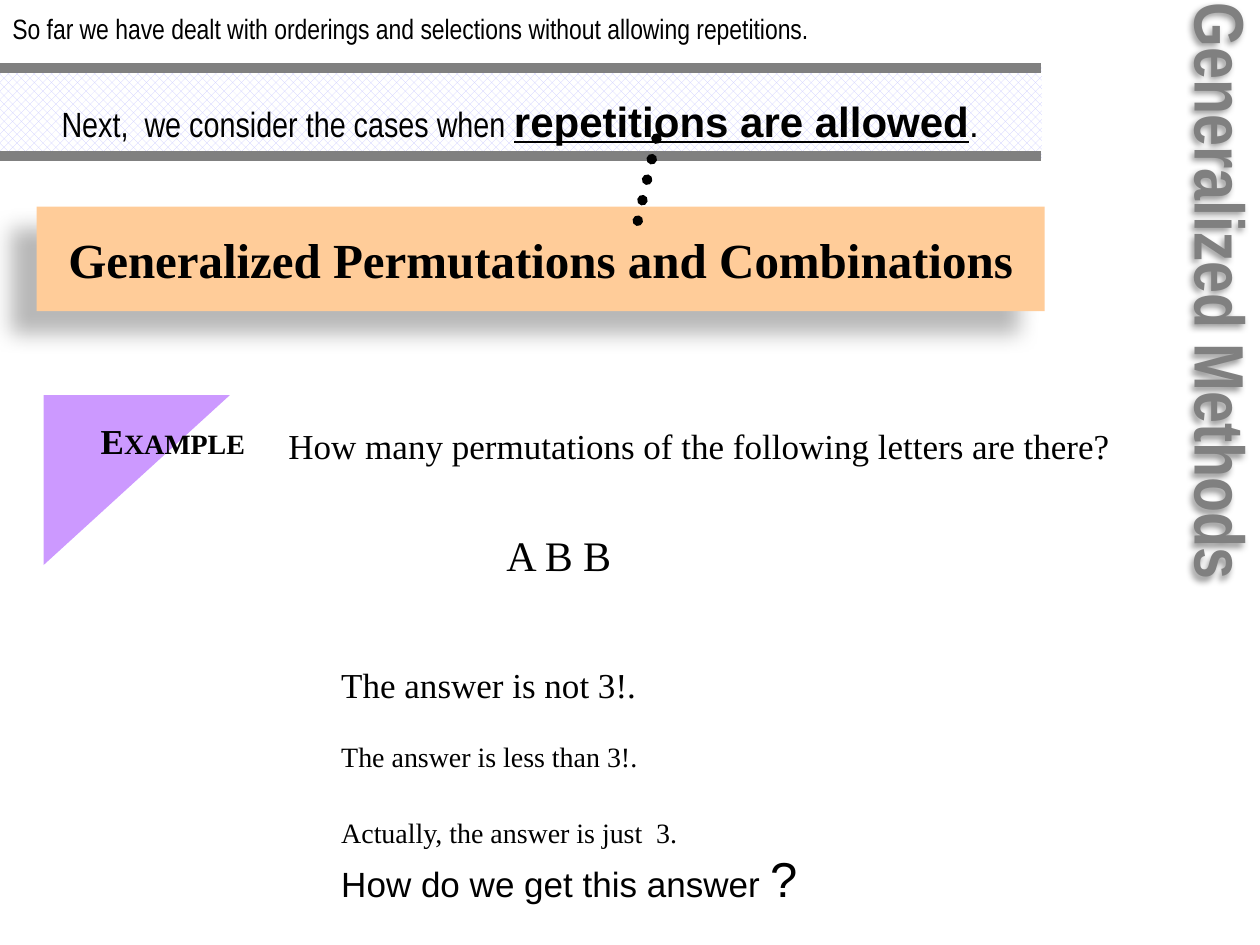
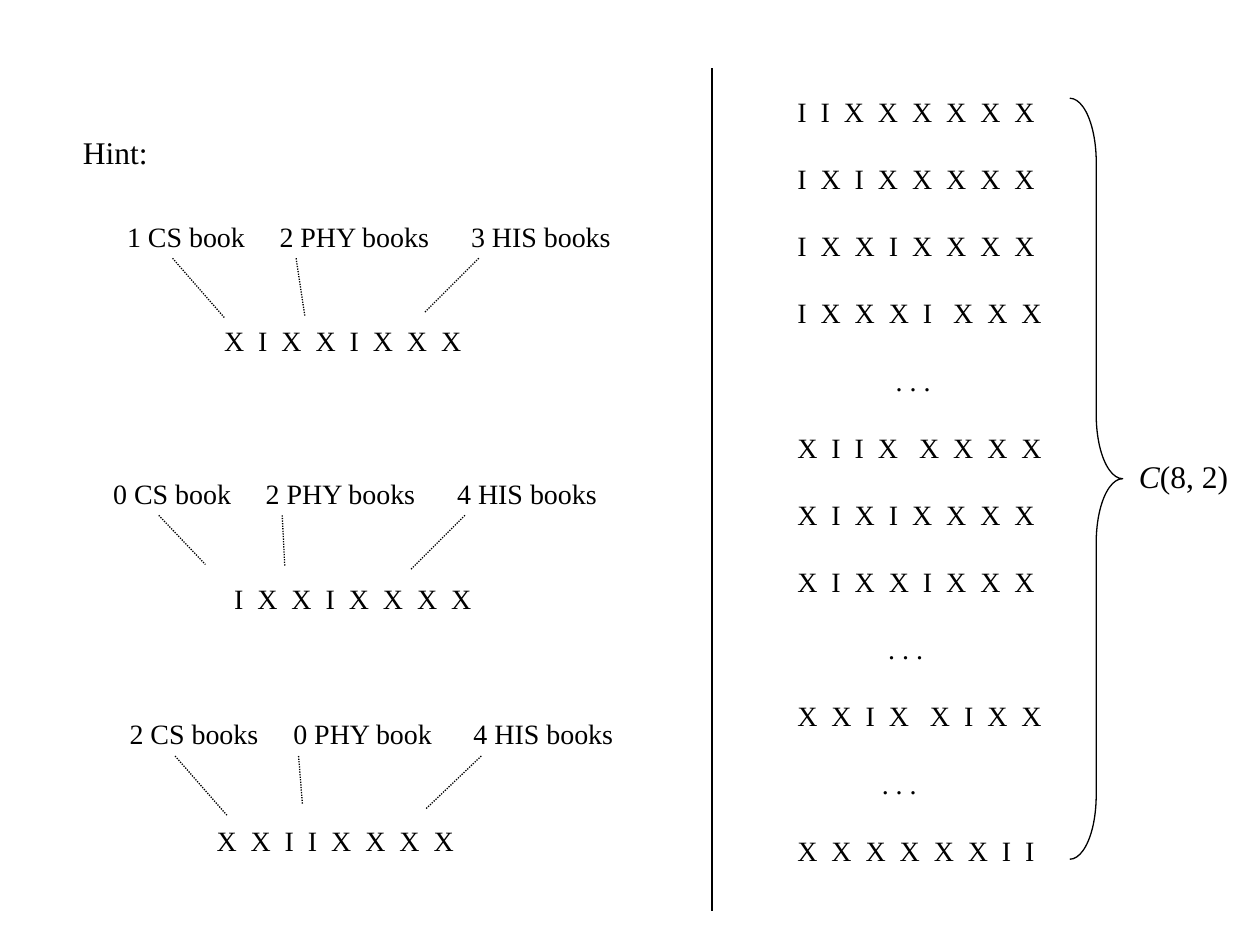
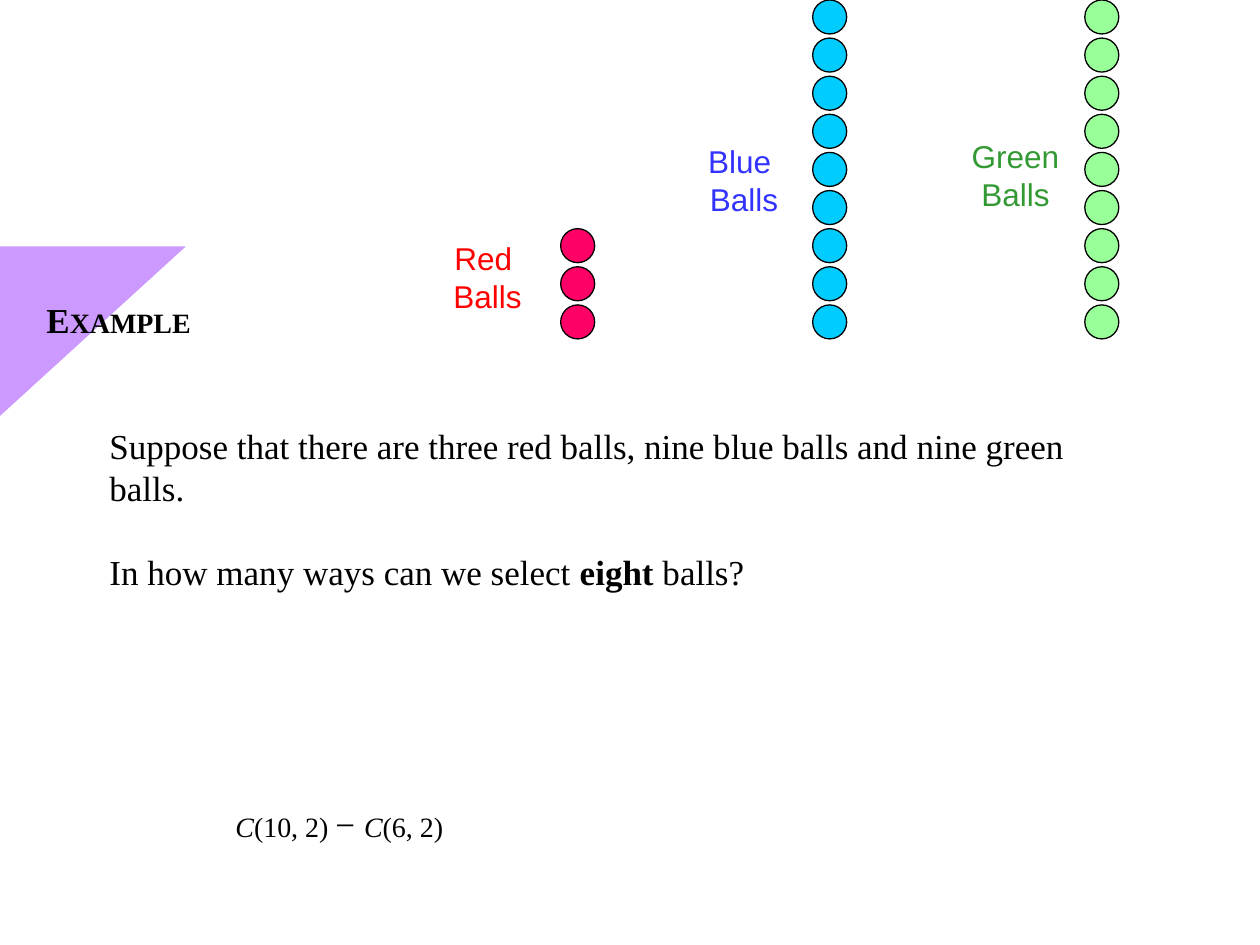
"""Build three lesson slides on generalized permutations and combinations."""
from dataclasses import dataclass

from lxml.etree import SubElement
from pptx import Presentation
from pptx.dml.color import RGBColor
from pptx.enum.dml import MSO_LINE, MSO_PATTERN_TYPE
from pptx.enum.shapes import MSO_CONNECTOR, MSO_SHAPE
from pptx.enum.text import MSO_AUTO_SIZE, PP_ALIGN
from pptx.oxml.ns import qn
from pptx.util import Inches, Pt


@dataclass(frozen=True)
class Theme:
    serif: str = "Times New Roman"
    sans: str = "Arial"
    narrow: str = "Arial Narrow"
    ink: str = "000000"
    paper: str = "FFFFFF"
    grey: str = "808080"
    peach: str = "FFCC99"
    lilac: str = "CC99FF"
    hatch: str = "CCCCFF"
    red: str = "FF0000"
    red_ball: str = "FF0066"
    blue: str = "3333FF"
    blue_ball: str = "00CCFF"
    green: str = "339933"
    green_ball: str = "99FF99"
    small: int = 16
    medium: int = 18
    body: int = 20
    large: int = 24
    title: int = 28
    side: int = 40
    leading: float = 1.2
    hairline: float = 0.75
    bar: float = 6


theme = Theme()


@dataclass
class Para:
    runs: object
    size: float = theme.body
    font: str = theme.serif
    color: str = theme.ink
    bold: bool = False
    indent: float = 0
    before: float = 0
    spread: float = 1
    tallest: float = 0
    centred: bool = False


prs = Presentation()
prs.slide_width, prs.slide_height = Inches(10), Inches(7.5)
COLUMN, ROW = prs.slide_width / 10, prs.slide_height / 7.5


def grid(*cells):
    return [int(cell * (ROW if i % 2 else COLUMN)) for i, cell in enumerate(cells)]


def write(shape, paras):
    frame = shape.text_frame
    frame.word_wrap = True
    frame.auto_size = MSO_AUTO_SIZE.NONE
    frame.margin_right = 0
    if paras[0].centred:
        frame.margin_left = 0
    for i, para in enumerate(paras):
        paragraph = frame.add_paragraph() if i else frame.paragraphs[0]
        paragraph.alignment = PP_ALIGN.CENTER if para.centred else PP_ALIGN.LEFT
        height = max(para.size, para.tallest) * theme.leading * para.spread
        paragraph.line_spacing, paragraph.space_before = Pt(height), Pt(para.before)
        props = paragraph._p.get_or_add_pPr()
        props.set("marL", str(grid(para.indent)[0]))
        props.set("indent", "0")
        font = paragraph.font
        font.name, font.size, font.bold = para.font, Pt(para.size), para.bold
        font.color.rgb = RGBColor.from_string(para.color)
        runs = [(para.runs, {})] if isinstance(para.runs, str) else para.runs
        for text, changes in runs:
            run = paragraph.add_run()
            run.text = text
            for key, value in changes.items():
                setattr(run.font, key, value)


title_only, blank = prs.slide_layouts[5], prs.slide_layouts[6]
intro = prs.slides.add_slide(title_only)
hint = prs.slides.add_slide(blank)
balls = prs.slides.add_slide(blank)

headline = intro.shapes.title
headline.left, headline.top, headline.width, headline.height = grid(0.29, 1.64, 8, 0.83)
headline.fill.solid()
headline.fill.fore_color.rgb = RGBColor.from_string(theme.peach)
write(headline, [Para("Generalized Permutations and Combinations", theme.title,
                      bold=True, centred=True)])

side_title = intro.shapes.add_textbox(*grid(7.24, 2, 4.92, 0.77))
side_title.rotation = 90
write(side_title, [Para("Generalized Methods", theme.side, theme.narrow, theme.grey, True)])

for shape, blur, distance, alpha in [(headline, 11.8, 19.7, 28), (side_title, 4, 2.5, 40)]:
    shape.shadow.inherit = False
    effects = shape._element.spPr.find(qn("a:effectLst"))
    shadow = SubElement(effects, qn("a:outerShdw"), blurRad=str(Pt(blur)),
                        dist=str(Pt(distance)), dir=str(141 * 60000), algn="ctr",
                        rotWithShape="0")
    shade = SubElement(shadow, qn("a:srgbClr"), val=theme.ink)
    SubElement(shade, qn("a:alpha"), val=str(alpha * 1000))

band = intro.shapes.add_shape(MSO_SHAPE.RECTANGLE, *grid(0, 0.52, 8.27, 0.74))
band.shadow.inherit = False
band.line.fill.background()
band.fill.patterned()
band.fill.pattern = MSO_PATTERN_TYPE.PERCENT_50
band.fill.fore_color.rgb = RGBColor.from_string(theme.hatch)
band.fill.back_color.rgb = RGBColor.from_string(theme.paper)

for slide, left, top in [(intro, 0.41, 3.07), (balls, 0.06, 1.89)]:
    corner = slide.shapes.add_shape(MSO_SHAPE.RIGHT_TRIANGLE, *grid(left, top, 1.35, 1.48))
    corner.rotation = 90
    corner.shadow.inherit = False
    corner.line.fill.background()
    corner.fill.solid()
    corner.fill.fore_color.rgb = RGBColor.from_string(theme.lilac)

example = Para([("E", {"size": Pt(theme.body)}), ("XAMPLE", {})], theme.small,
               bold=True, tallest=theme.body)
strong = {"size": Pt(theme.large), "name": theme.sans, "bold": True, "underline": True}
italic = {"italic": True}
body_line, small_line = theme.body * theme.leading, theme.small * theme.leading

texts = [
    (intro, (0, -0.01, 7.93, 1.23), [
        Para("So far we have dealt with orderings and selections without allowing "
             "repetitions.", theme.small, theme.narrow, spread=1.2),
        Para([("Next,  we consider the cases when ", {}),
              ("repetitions are allowed", strong), (".", {"name": theme.sans})],
             theme.body, theme.narrow, indent=0.39, spread=2, tallest=theme.large),
    ]),
    (intro, (2.19, 3.32, 6.76, 4.04), [
        Para("How many permutations of the following letters are there?"),
        Para("A B B", theme.large, indent=1.73, before=1.5 * body_line),
        Para("The answer is not 3!.", indent=0.42, before=2 * body_line),
        Para("The answer is less than 3!.", theme.small, indent=0.42, before=small_line),
        Para("Actually, the answer is just  3.", theme.small, indent=0.42, before=body_line),
        Para([("How do we get this answer ", {}), ("?", {"size": Pt(theme.title)})],
             font=theme.sans, indent=0.42, tallest=theme.title),
    ]),
    (intro, (0.7, 3.28, 1.35, 0.43), [example]),
    (hint, (0.56, 1.01, 0.72, 0.4), [Para("Hint:", theme.medium)]),
    (hint, (8.94, 3.58, 0.91, 0.4), [Para([("C", italic), ("(8, 2)", {})], theme.medium)]),
    (balls, (0.27, 2.32, 8.7, 4.4), [
        example,
        Para("Suppose that there are three red balls, nine blue balls and nine green balls.",
             indent=0.5, before=2 * body_line),
        Para([("In how many ways can we select ", {}), ("eight", {"bold": True}),
              (" balls?", {})], indent=0.5, before=body_line),
        Para([("C", italic), ("(10, 2) ", {}), ("\u2212 ", {"size": Pt(theme.body)}),
              ("C", italic), ("(6, 2)", {})], theme.small, indent=1.5,
             before=5 * body_line, tallest=theme.body),
    ]),
]

rules = [
    (intro, (-0.01, 1.24), (8.26, 1.24), theme.grey, theme.bar, False),
    (intro, (-0.01, 0.54), (8.26, 0.54), theme.grey, theme.bar, False),
    (intro, (5.21, 1.1), (5.06, 1.76), theme.ink, theme.bar, True),
    (hint, (5.65, 0.54), (5.65, 7.23), theme.ink, theme.hairline, False),
]

selections = [
    (("1 CS book", "2 PHY books", "3 HIS books"), (0.91, 1.69), 1.21,
     "X  I  X  X  I  X  X  X", (1.18, 2.52), [(1.78, 2.52), (2.42, 2.51), (3.37, 2.48)]),
    (("0 CS book", "2 PHY books", "4 HIS books"), (0.8, 3.73), 1.21,
     "I  X  X  I  X  X  X  X", (1.26, 4.57), [(1.63, 4.48), (2.26, 4.49), (3.26, 4.52)]),
    (("2 CS books", "0 PHY book", "4 HIS books"), (0.93, 5.64), 1.3,
     "X  X  I  I  X  X  X  X", (1.12, 6.49), [(1.8, 6.47), (2.4, 6.38), (3.38, 6.42)]),
]
for books, (left, top), second, code, code_corner, ends in selections:
    edges = (0, second, 2.73, 4.06)
    for book, start, stop in zip(books, edges, edges[1:]):
        texts.append((hint, (left + start, top, stop - start, 0.37),
                      [Para(book, theme.small)]))
    texts.append((hint, (*code_corner, 2.59, 0.37), [Para(code, theme.small, indent=0.5)]))
    for offset, end in zip((0.46, 1.44, 2.89), ends):
        rules.append((hint, (left + offset, top + 0.36), end, theme.ink, theme.hairline, True))

codes = [
    ("I  I  X  X  X  X  X  X", 0), ("I  X  I  X  X  X  X  X", 0),
    ("I  X  X  I  X  X  X  X", 0), ("I  X  X  X  I   X  X  X", 0), (". . .", 0.78),
    ("X  I  I  X   X  X  X  X", 0), ("X  I  X  I  X  X  X  X", 0),
    ("X  I  X  X  I  X  X  X", 0), (". . .", 0.72), ("X  X  I  X   X  I  X  X", 0),
    (". . .", 0.67), ("X  X  X  X  X  X  I  I", 0),
]
code_list = hint.shapes.add_textbox(*grid(5.73, 0.4, 2.75, 6.55))
code_list.text_frame.margin_top = Inches(0.35)
write(code_list, [Para(code, theme.small, indent=0.5 + shift, before=small_line if i else 0)
                  for i, (code, shift) in enumerate(codes)])

brace = hint.shapes.add_shape(MSO_SHAPE.RIGHT_BRACE, *grid(8.49, 0.78, 0.42, 6.04))
brace.shadow.inherit = False
brace.adjustments[0], brace.adjustments[1] = 1.21, 0.5
brace.fill.background()
brace.line.color.rgb = RGBColor.from_string(theme.ink)
brace.line.width = Pt(theme.hairline)

stacks = [
    ("Red ", 3, 4.45, theme.red_ball, theme.red, (3.5, 1.85, 0.74, 0.7)),
    ("Blue ", 9, 6.45, theme.blue_ball, theme.blue, (5.52, 1.08, 0.77, 0.7)),
    ("Green", 9, 8.61, theme.green_ball, theme.green, (7.61, 1.04, 0.9, 0.7)),
]
for colour, count, left, fill, label_color, label_at in stacks:
    for level in range(9 - count, 9):
        ball = balls.shapes.add_shape(MSO_SHAPE.OVAL,
                                      *grid(left, level * 2.42 / 8, 0.27, 0.27))
        ball.shadow.inherit = False
        ball.fill.solid()
        ball.fill.fore_color.rgb = RGBColor.from_string(fill)
        ball.line.color.rgb = RGBColor.from_string(theme.ink)
        ball.line.width = Pt(theme.hairline)
    texts.append((balls, label_at, [
        Para(word, theme.medium, theme.sans, label_color, centred=True)
        for word in (colour, "Balls")]))

for slide, at, paras in texts:
    write(slide.shapes.add_textbox(*grid(*at)), paras)

for slide, start, end, color, width, dotted in rules:
    rule = slide.shapes.add_connector(MSO_CONNECTOR.STRAIGHT, *grid(*start, *end))
    rule.line.color.rgb = RGBColor.from_string(color)
    rule.line.width = Pt(width)
    if dotted:
        rule.line.dash_style = MSO_LINE.ROUND_DOT
        if width == theme.bar:
            rule.line._get_or_add_ln().set("cap", "rnd")
    SubElement(rule._element.spPr, qn("a:effectLst"))

prs.save("out.pptx")
